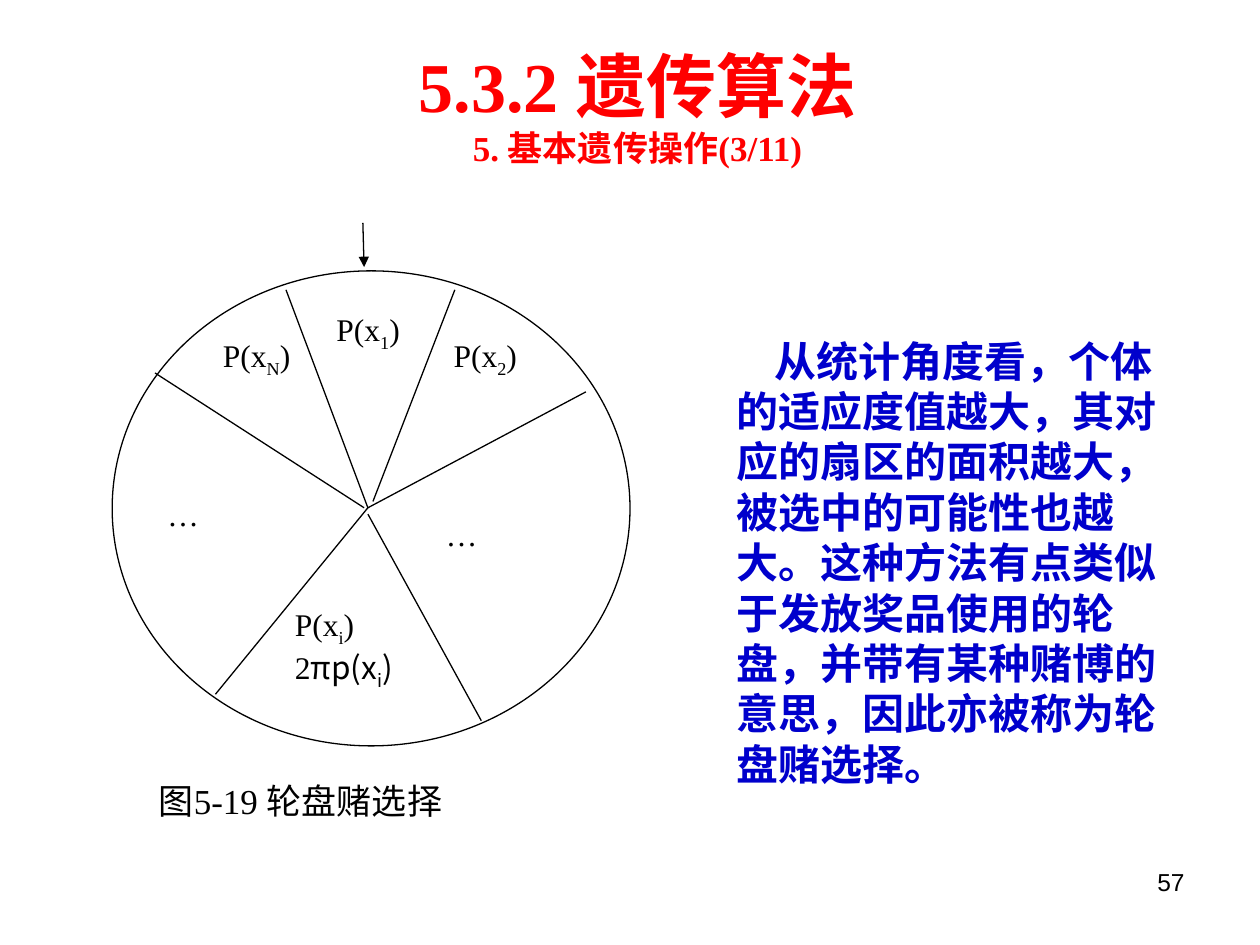
from dataclasses import dataclass

import pptx
import pptx.dml.color
import pptx.enum.dml
import pptx.enum.shapes
import pptx.enum.text
import pptx.oxml
import pptx.oxml.ns
import pptx.util
from pptx.util import Inches

ALIGN = pptx.enum.text.PP_ALIGN
SHAPE = pptx.enum.shapes.MSO_SHAPE


@dataclass(frozen=True)
class Theme:
    black: str = "000000"
    white: str = "FFFFFF"
    red: str = "FF0000"
    blue: str = "0000CC"
    serif: str = "Times New Roman"
    sans: str = "Arial"
    chinese: str = "Noto Sans CJK SC"
    title: int = 40
    subtitle: int = 20
    body: int = 24
    caption: int = 20
    label: int = 18
    number: int = 14
    line: float = 0.75


THEME = Theme()
WIDE_INSETS = (0.1, 0.05)
CENTRE = (2.92, 4.03)
SPOKES = [
    ((3.61, 2.3), (2.96, 3.98)),
    ((2.27, 2.3), (2.92, 4.03)),
    (CENTRE, (4.65, 3.11)),
    (CENTRE, (1.71, 5.51)),
    ((2.92, 4.08), (3.82, 5.72)),
    ((2.89, 4.03), (1.23, 2.96)),
]
SECTOR_LABELS = [
    ((2.65, 2.45, 0.66, 0.51), "1"),
    ((3.58, 2.66, 0.69, 0.56), "2"),
    ((1.75, 2.66, 0.66, 0.56), "N"),
]
ELLIPSES = [(3.44, 4.04, 1.04, 0.61), (1.23, 3.88, 1.14, 0.66)]


def rgb(value):
    return pptx.dml.color.RGBColor.from_string(value)


def add_span(para, text, size, font=THEME.serif, color=THEME.black,
             bold=False, subscript=False):
    span = para.add_run()
    span.text = text
    values = {"name": font, "size": pptx.util.Pt(size), "bold": bold}
    for name, value in values.items():
        setattr(span.font, name, value)
    span.font.color.rgb = rgb(color)
    properties = span.font._element
    east_asian = pptx.oxml.parse_xml(
        f'<a:ea {pptx.oxml.ns.nsdecls("a")} typeface="{THEME.chinese}"/>')
    properties.find(pptx.oxml.ns.qn("a:latin")).addnext(east_asian)
    if subscript:
        properties.set("baseline", "-25000")


def set_frame(box, insets):
    across, down = map(Inches, insets)
    values = {
        "word_wrap": True,
        "vertical_anchor": pptx.enum.text.MSO_ANCHOR.TOP,
        "margin_left": across, "margin_right": across,
        "margin_top": down, "margin_bottom": down,
    }
    for name, value in values.items():
        setattr(box.text_frame, name, value)


def fill_text(box, paragraphs, align, insets):
    """Write paragraphs, each a list of (text, span format) pairs."""
    set_frame(box, insets)
    frame = box.text_frame
    for index, spans in enumerate(paragraphs):
        para = frame.add_paragraph() if index else frame.paragraphs[0]
        para.alignment = align
        for text, style in spans:
            add_span(para, text, **style)


def add_text(page, place, paragraphs, align):
    box = page.shapes.add_textbox(*map(Inches, place))
    fill_text(box, paragraphs, align, WIDE_INSETS)
    return box


def add_white_shape(page, kind, place):
    shape = page.shapes.add_shape(kind, *map(Inches, place))
    shape.shadow.inherit = False
    shape.fill.solid()
    shape.fill.fore_color.rgb = rgb(THEME.white)
    return shape


def add_wheel(page):
    wheel = add_white_shape(page, SHAPE.OVAL, (0.89, 2.15, 4.11, 3.77))
    wheel.line.color.rgb = rgb(THEME.black)
    wheel.line.width = pptx.util.Pt(THEME.line)


def add_label(page, place, paragraphs, insets):
    label = add_white_shape(page, SHAPE.RECTANGLE, place)
    label.line.fill.background()
    fill_text(label, paragraphs, ALIGN.JUSTIFY, insets)


def add_line(page, start, end, arrow=False):
    line = page.shapes.add_connector(
        pptx.enum.shapes.MSO_CONNECTOR.STRAIGHT, *map(Inches, start + end))
    line.line.color.rgb = rgb(THEME.black)
    line.line.width = pptx.util.Pt(THEME.line)
    namespace = pptx.oxml.ns.nsdecls("a")
    if arrow:
        line.line._get_or_add_ln().append(
            pptx.oxml.parse_xml(f'<a:tailEnd {namespace} type="triangle"/>'))
    line._element.spPr.append(
        pptx.oxml.parse_xml(f"<a:effectLst {namespace}/>"))


def probability(index, opening="P(x", font=THEME.serif):
    """Return the spans of a symbol with a subscript index."""
    style = {"size": THEME.label, "font": font}
    return [(opening, style), (index, {**style, "subscript": True}),
            (")", style)]


def add_roulette(page):
    label = {"size": THEME.label}
    add_wheel(page)
    for place, index in SECTOR_LABELS:
        add_label(page, place, [probability(index)], (0.02, 0.01))
    for place in ELLIPSES:
        add_label(page, place, [[("…", label)]], WIDE_INSETS)
    angle = [("2", label)] + probability("i", "πp(x", THEME.chinese)
    add_label(page, (2.34, 4.8, 0.9, 0.92),
              [probability("i"), angle], (0, 0))
    for start, end in SPOKES:
        add_line(page, start, end)
    add_line(page, (2.88, 1.77), (2.89, 2.12), arrow=True)
    add_label(page, (1.2, 6.18, 3.66, 0.76),
              [[("图5-19 轮盘赌选择", {"size": THEME.caption})]], (0.06, 0.01))


def add_explanation(page):
    """Add the indented text, with punctuation kept inside its margins."""
    text = ("从统计角度看，个体的适应度值越大，其对应的扇区的面积越大，"
            "被选中的可能性也越大。这种方法有点类似于发放奖品使用的轮盘，"
            "并带有某种赌博的意思，因此亦被称为轮盘赌选择。")
    style = {"size": THEME.body, "font": THEME.sans,
             "color": THEME.blue, "bold": True}
    box = add_text(page, (5.75, 2.61, 3.66, 3.7), [[(text, style)]],
                   ALIGN.LEFT)
    properties = box.text_frame.paragraphs[0]._p.get_or_add_pPr()
    properties.set("indent", str(Inches(0.3)))
    properties.set("hangingPunct", "0")


def main():
    deck = pptx.Presentation()
    deck.slide_width, deck.slide_height = Inches(10), Inches(7.5)
    page = deck.slides.add_slide(deck.slide_layouts[6])
    heading = {"color": THEME.red, "bold": True}
    add_text(page, (7.17, 6.83, 2.33, 0.52),
             [[("57", {"size": THEME.number, "font": THEME.sans})]],
             ALIGN.RIGHT)
    add_roulette(page)
    add_explanation(page)
    add_text(page, (2.01, 0.29, 6.1, 1.1), [
        [("5.3.2 遗传算法", {"size": THEME.title, **heading})],
        [("5. 基本遗传操作(3/11)", {"size": THEME.subtitle, **heading})],
    ], ALIGN.CENTER)
    deck.save("out.pptx")


if __name__ == "__main__":
    main()
